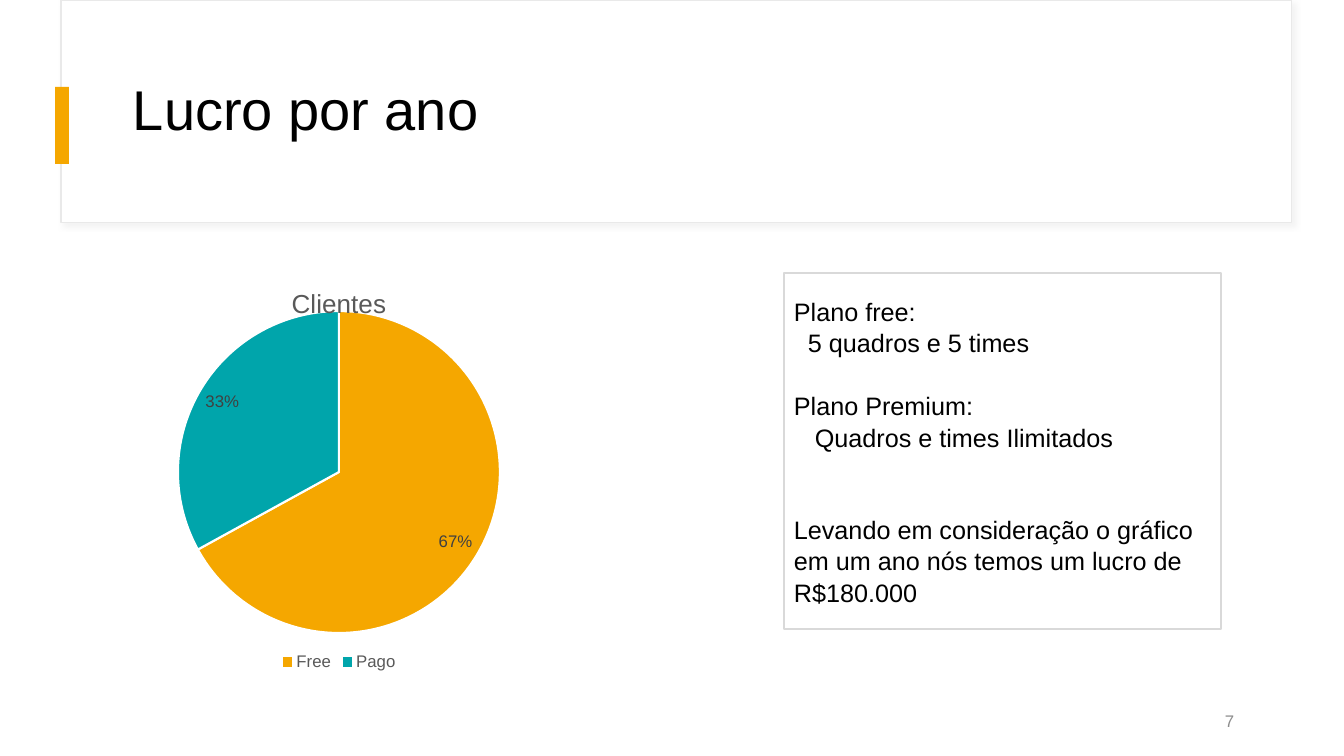
"""Build the yearly profit slide with a client pie chart and plan notes."""
import pptx
import pptx.chart.data
import pptx.dml.color
import pptx.enum.chart
import pptx.enum.shapes
import pptx.enum.text
import pptx.util
from lxml import etree
from pptx.oxml import parse_xml
from pptx.oxml.ns import nsdecls, qn

RGB = pptx.dml.color.RGBColor
WHITE = RGB(0xFF, 0xFF, 0xFF)
BLACK = RGB(0, 0, 0)
AMBER = RGB(0xF5, 0xA7, 0x00)
TEAL = RGB(0x00, 0xA5, 0xAB)
FRAME_GRAY = RGB(0xE9, 0xE9, 0xE9)
BORDER_GRAY = RGB(0xD9, 0xD9, 0xD9)
NUMBER_GRAY = RGB(0x8C, 0x8C, 0x8C)
CHART_GRAY = RGB(0x59, 0x59, 0x59)
LABEL_GRAY = RGB(0x40, 0x40, 0x40)

PX = 914400 / 100.8
Pt = pptx.util.Pt


def box(*lengths):
    return [round(length * PX) for length in lengths]


def style(font, size, color):
    font.name, font.size, font.color.rgb = "Arial", Pt(size), color


presentation = pptx.Presentation()
presentation.slide_width, presentation.slide_height = box(1344, 756)
slide = presentation.slides.add_slide(presentation.slide_layouts[6])

rectangles = []
for bounds, fill, border, weight in [
    ((61, 0, 1231, 223), WHITE, FRAME_GRAY, 0.75),
    ((55, 87, 14, 77), AMBER, None, 0),
    ((784, 273, 437, 356), WHITE, BORDER_GRAY, 1),
]:
    rectangle = slide.shapes.add_shape(
        pptx.enum.shapes.MSO_SHAPE.RECTANGLE, *box(*bounds))
    rectangle.shadow.inherit = False
    rectangle.fill.solid()
    rectangle.fill.fore_color.rgb = fill
    if border is None:
        rectangle.line.fill.background()
    else:
        rectangle.line.color.rgb = border
        rectangle.line.width = Pt(weight)
    rectangles.append(rectangle)
header, accent, plans = rectangles

effects = header._element.spPr.find(qn("a:effectLst"))
shadow = etree.SubElement(effects, qn("a:outerShdw"), blurRad=str(Pt(4)),
                          dist=str(Pt(3)), dir="2700000", rotWithShape="0")
shade = etree.SubElement(shadow, qn("a:srgbClr"), val=str(BORDER_GRAY))
etree.SubElement(shade, qn("a:alpha"), val="30000")

ALIGN = pptx.enum.text.PP_ALIGN
for text, bounds, size, color, alignment, spacing in [
    ("Lucro por ano", (123, 57, 1121, 111), 40, BLACK, ALIGN.LEFT, 0.9),
    ("7", (941, 701, 303, 40), 12, NUMBER_GRAY, ALIGN.RIGHT, 1.0),
]:
    frame = slide.shapes.add_textbox(*box(*bounds)).text_frame
    frame.word_wrap = True
    frame.vertical_anchor = pptx.enum.text.MSO_ANCHOR.MIDDLE
    paragraph = frame.paragraphs[0]
    paragraph.text = text
    paragraph.alignment = alignment
    paragraph.line_spacing = spacing
    style(paragraph.font, size, color)

plan_lines = [
    ("Plano free:", 0, 0),
    ("5 quadros e 5 times", 14, 0),
    ("Plano Premium:", 0, 22),
    ("Quadros e times Ilimitados", 21, 0),
    ("Levando em consideração o gráfico em um ano nós temos um lucro de "
     "R$180.000", 0, 43),
]
frame = plans.text_frame
frame.word_wrap = True
frame.vertical_anchor = pptx.enum.text.MSO_ANCHOR.MIDDLE
for index, (text, indent, gap) in enumerate(plan_lines):
    paragraph = frame.add_paragraph() if index else frame.paragraphs[0]
    paragraph.text = text
    paragraph.alignment = ALIGN.LEFT
    paragraph.line_spacing = 1.05
    paragraph.space_before = Pt(gap)
    paragraph._p.get_or_add_pPr().set("marL", str(round(indent * PX)))
    style(paragraph.font, 18, BLACK)

clients = pptx.chart.data.CategoryChartData()
clients.categories = ["Free", "Pago"]
clients.add_series("Clientes", (67, 33))
chart = slide.shapes.add_chart(
    pptx.enum.chart.XL_CHART_TYPE.PIE, *box(62, 268, 554, 407), clients).chart
style(chart.font, 10, BLACK)

chart.has_title = True
heading = chart.chart_title.text_frame.paragraphs[0]
heading.text = "Clientes"
style(heading.font, 18.6, CHART_GRAY)
heading.font.bold = False

chart.has_legend = True
chart.legend.position = pptx.enum.chart.XL_LEGEND_POSITION.BOTTOM
chart.legend.include_in_layout = False
style(chart.legend.font, 12, CHART_GRAY)

pie = chart.plots[0]
pie.vary_by_categories = True
for index, color in enumerate([AMBER, TEAL]):
    portion = pie.series[0].points[index].format
    portion.fill.solid()
    portion.fill.fore_color.rgb = color
    portion.line.color.rgb = WHITE
    portion.line.width = Pt(1.5)

labels = pie.series[0].data_labels
labels.show_value = False
labels.show_percentage = True
labels.number_format = "0%"
labels.number_format_is_linked = False
labels.position = pptx.enum.chart.XL_LABEL_POSITION.INSIDE_END
style(labels.font, 12, LABEL_GRAY)

plot_area = chart._chartSpace.chart.plotArea
for layout in plot_area.findall(qn("c:layout")):
    plot_area.remove(layout)
plot_area.insert(0, parse_xml(
    f'<c:layout {nsdecls("c")}><c:manualLayout><c:layoutTarget val="inner"/>'
    '<c:xMode val="edge"/><c:yMode val="edge"/><c:x val="0.16"/>'
    '<c:y val="0.106"/><c:w val="0.68"/><c:h val="0.791"/>'
    '</c:manualLayout></c:layout>'))

presentation.save("out.pptx")
